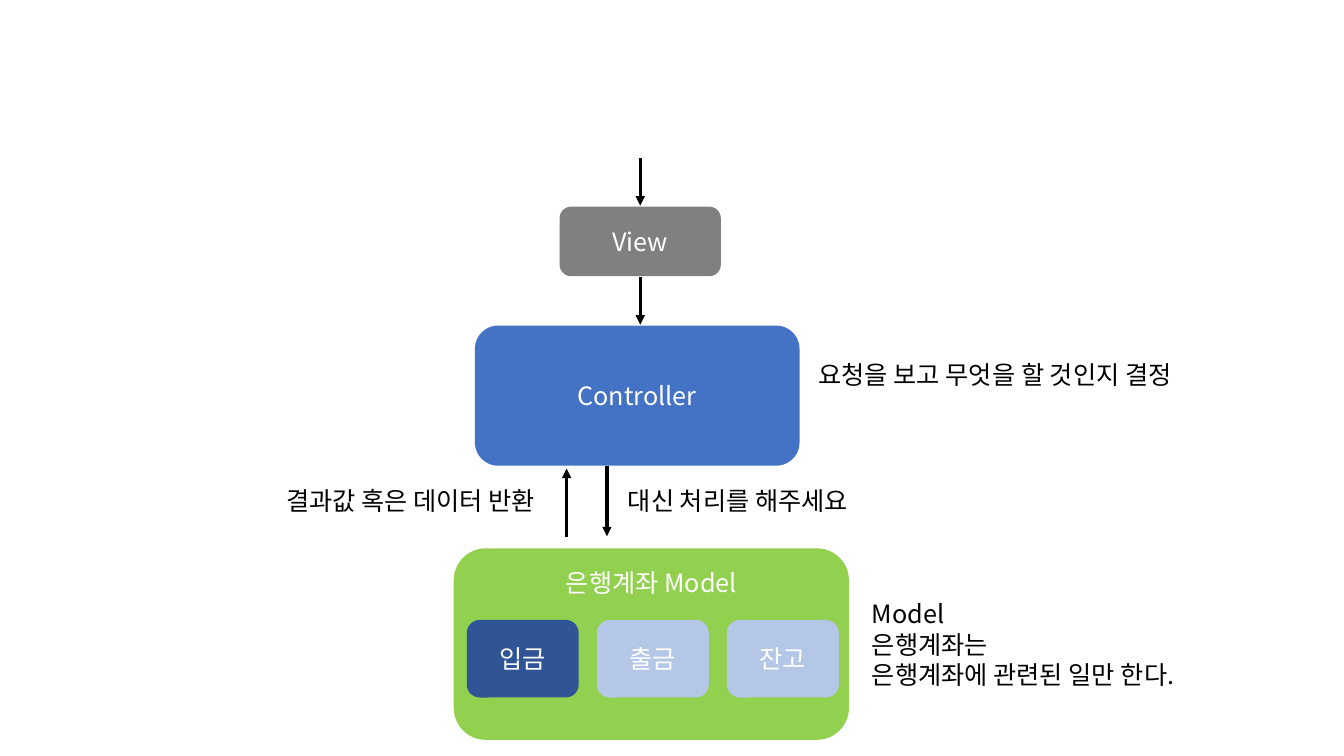
from pptx import Presentation
from pptx.dml.color import RGBColor
from pptx.enum.shapes import MSO_CONNECTOR, MSO_SHAPE
from pptx.enum.text import MSO_ANCHOR, PP_ALIGN
from pptx.oxml.ns import qn
from pptx.util import Inches, Pt
from lxml import etree

ROUNDED = MSO_SHAPE.ROUNDED_RECTANGLE
STRAIGHT = MSO_CONNECTOR.STRAIGHT
TOP, MIDDLE = MSO_ANCHOR.TOP, MSO_ANCHOR.MIDDLE
LEFT, CENTER = PP_ALIGN.LEFT, PP_ALIGN.CENTER

FONT = "Noto Sans CJK KR"
BLACK = RGBColor(0x00, 0x00, 0x00)
WHITE = RGBColor(0xFF, 0xFF, 0xFF)
GRAY = RGBColor(0x80, 0x80, 0x80)
BLUE = RGBColor(0x44, 0x72, 0xC4)
GREEN = RGBColor(0x92, 0xD0, 0x50)
NAVY = RGBColor(0x2F, 0x55, 0x97)
PALE_BLUE = RGBColor(0xB4, 0xC7, 0xE7)


def write(tf, lines, color, align):
    """Fill a text frame with one paragraph per line."""
    tf.word_wrap = True
    for i, line in enumerate(lines):
        p = tf.paragraphs[0] if i == 0 else tf.add_paragraph()
        p.alignment = align
        r = p.add_run()
        r.text = line
        for name, value in {"name": FONT, "size": Pt(18)}.items():
            setattr(r.font, name, value)
        r.font.color.rgb = color
        ea = etree.SubElement(r.font._element, qn("a:ea"))
        ea.set("typeface", FONT)


def add_box(s, x, y, w, h, text, fill, anchor=MIDDLE):
    sp = s.shapes.add_shape(ROUNDED, Inches(x), Inches(y), Inches(w), Inches(h))
    sp.shadow.inherit = False
    sp.fill.solid()
    sp.fill.fore_color.rgb = fill
    sp.line.fill.background()
    write(sp.text_frame, [text], WHITE, CENTER)
    sp.text_frame.vertical_anchor = anchor
    return sp


def add_note(s, x, y, w, h, *lines):
    sp = s.shapes.add_textbox(Inches(x), Inches(y), Inches(w), Inches(h))
    write(sp.text_frame, lines, BLACK, LEFT)


def add_arrow(s, x, y1, y2):
    """Vertical arrow pointing from y1 to y2."""
    cx = s.shapes.add_connector(STRAIGHT, Inches(x), Inches(y1), Inches(x), Inches(y2))
    cx.line.color.rgb = BLACK
    cx.line.width = Pt(2.25)
    etree.SubElement(cx.line._get_or_add_ln(), qn("a:tailEnd")).set("type", "triangle")
    etree.SubElement(cx._element.spPr, qn("a:effectLst"))


def add_view(s, x, y, w, h):
    add_box(s, x, y, w, h, "View", GRAY)
    # Arrows into and out of the view
    for start in (y - 0.48, y + h + 0.01):
        add_arrow(s, x + w / 2, start, start + 0.47)


def add_controller(s, x, y, w, h):
    add_box(s, x, y, w, h, "Controller", BLUE)
    add_note(s, x + w + 0.09, y + 0.29, 4.35, 0.4, "요청을 보고 무엇을 할 것인지 결정")
    # Exchange with the model below
    bottom = y + h
    add_arrow(s, x + 1.31, bottom, bottom + 0.7)
    add_arrow(s, x + 0.91, bottom + 0.71, bottom + 0.03)
    add_note(s, x + 1.42, bottom + 0.15, 2.77, 0.4, "대신 처리를 해주세요")
    add_note(s, x - 1.97, bottom + 0.15, 2.77, 0.4, "결과값 혹은 데이터 반환")


def add_model(s, x, y, w, h):
    sp = add_box(s, x, y, w, h, "은행계좌 Model", GREEN, TOP)
    sp.text_frame.margin_top = Inches(0.1)
    # Account operations
    operations = [("입금", NAVY), ("출금", PALE_BLUE), ("잔고", PALE_BLUE)]
    for i, (name, fill) in enumerate(operations):
        add_box(s, x + 0.13 + 1.29 * i, y + 0.71, 1.11, 0.77, name, fill)
    add_note(s, x + w + 0.13, y + 0.45, 4.35, 1.01,
             "Model", "은행계좌는", "은행계좌에 관련된 일만 한다.")


def main():
    prs = Presentation()
    prs.slide_width, prs.slide_height = Inches(13.33), Inches(7.5)
    s = prs.slides.add_slide(prs.slide_layouts[6])
    add_view(s, 5.55, 2.05, 1.6, 0.69)
    add_controller(s, 4.71, 3.23, 3.22, 1.39)
    add_model(s, 4.5, 5.44, 3.92, 1.9)
    prs.save("out.pptx")


if __name__ == "__main__":
    main()
